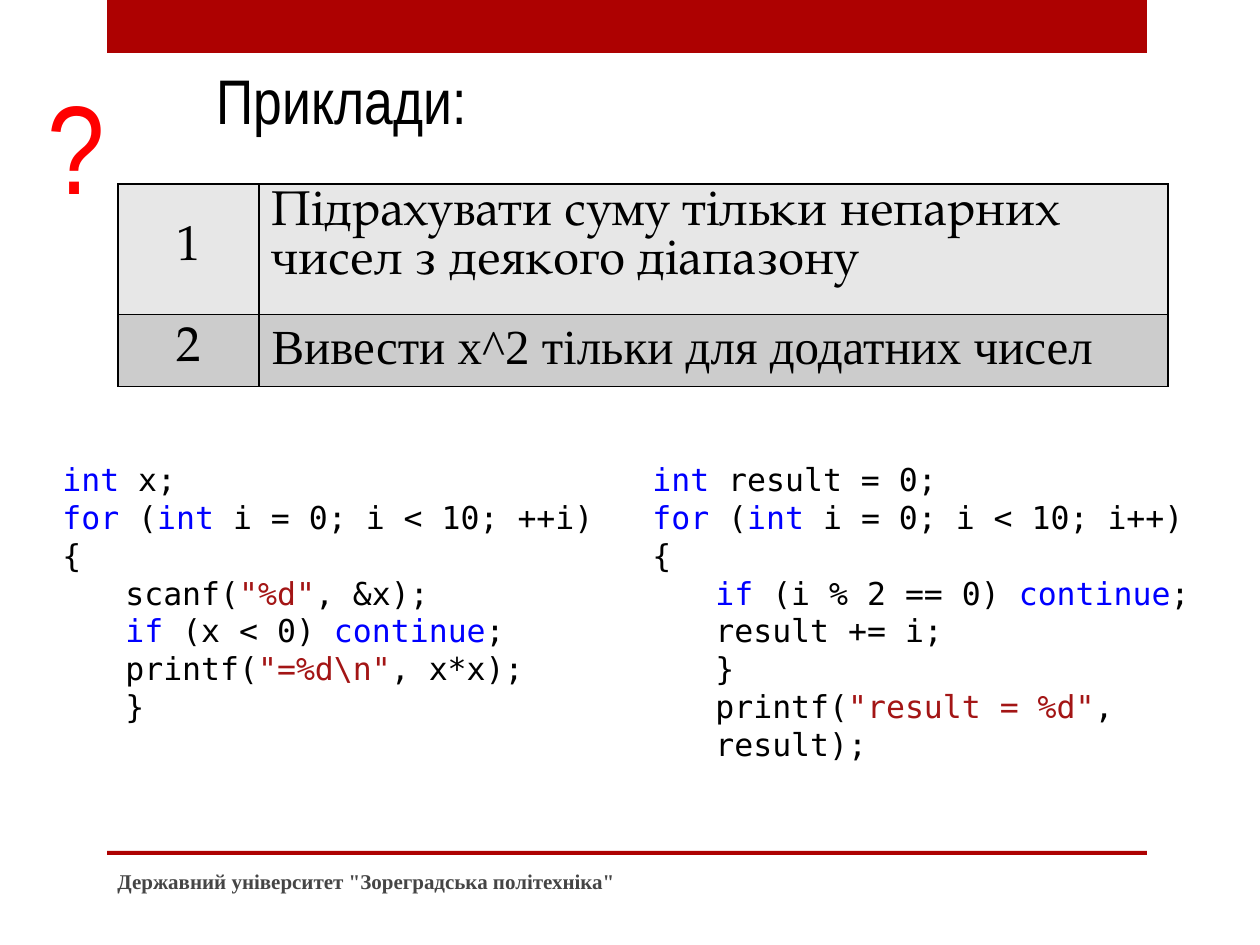
import dataclasses

import lxml.etree
import pptx
import pptx.dml.color
import pptx.enum.shapes
import pptx.enum.text
import pptx.oxml.ns
import pptx.util

ANCHOR = pptx.enum.text.MSO_ANCHOR
ALIGN = pptx.enum.text.PP_ALIGN
FIT = pptx.enum.text.MSO_AUTO_SIZE
QN = pptx.oxml.ns.qn


@dataclasses.dataclass(frozen=True)
class Theme:
    red: str = "AD0101"
    mark: str = "FF0000"
    text: str = "000000"
    foot: str = "454545"
    key: str = "0000FF"
    quote: str = "A31515"
    bands: tuple = ("E7E7E7", "CCCCCC")
    head: str = "Arial Narrow"
    book: str = "TeX Gyre Pagella"
    serif: str = "Times New Roman"
    mono: str = "DejaVu Sans Mono"
    mark_size: int = 72
    head_size: int = 36
    cell_size: int = 28
    code_size: int = 18
    foot_size: int = 12


THEME = Theme()
K, T, Q = THEME.key, THEME.text, THEME.quote

TASKS = [
    ("1", "Підрахувати суму тільки непарних чисел з деякого діапазону", THEME.book),
    ("2", "Вивести x^2 тільки для додатних чисел", THEME.serif),
]


def loop(step):
    return [("for", K), (" (", T), ("int", K), (f" i = 0; i < 10; {step}){{", T)]


def skip(test):
    return [("if", K), (f" ({test}) ", T), ("continue", K), (";", T)]


# Each line of code is an outline level and its coloured runs.
SUM = [
    (0, [("int", K), (" result = 0;", T)]),
    (0, loop("i++")),
    (1, skip("i % 2 == 0")),
    (1, [("result += i;", T)]),
    (0, [("}", T)]),
    (0, [("printf(", T), ('"result = %d"', Q), (", result);", T)]),
]
SQUARE = [
    (0, [("int", K), (" x;", T)]),
    (0, loop("++i")),
    (1, [("scanf(", T), ('"%d"', Q), (", &x);", T)]),
    (1, skip("x < 0")),
    (1, [("printf(", T), ('"=%d\\n"', Q), (", x*x);", T)]),
    (0, [("}", T)]),
]


def px(num):
    return pptx.util.Emu(round(num * 914400 / 126))


def paint(fill, tone):
    fill.solid()
    fill.fore_color.rgb = pptx.dml.color.RGBColor.from_string(tone)


def add_run(para, text, font, size, tone, bold=False):
    run = para.add_run()
    run.text = text
    run.font.name = font
    run.font.size = pptx.util.Pt(size)
    run.font.bold = bold
    run.font.color.rgb = pptx.dml.color.RGBColor.from_string(tone)


def add_text(slide, box, wrap=True, fit=FIT.SHAPE_TO_FIT_TEXT):
    frame = slide.shapes.add_textbox(*map(px, box)).text_frame
    frame.word_wrap = wrap
    frame.auto_size = fit
    return frame


def add_bar(slide, box):
    bar = slide.shapes.add_shape(
        pptx.enum.shapes.MSO_SHAPE.RECTANGLE, *map(px, box))
    bar.shadow.inherit = False
    paint(bar.fill, THEME.red)
    bar.line.fill.background()


def add_title(slide, box):
    title = slide.shapes.title
    title.left, title.top, title.width, title.height = map(px, box)
    frame = title.text_frame
    frame.vertical_anchor = ANCHOR.TOP
    frame.auto_size = FIT.SHAPE_TO_FIT_TEXT
    para = frame.paragraphs[0]
    para.alignment = ALIGN.LEFT
    add_run(para, "Приклади:", THEME.head, THEME.head_size, THEME.text)


def add_mark(slide, box):
    frame = add_text(slide, box, wrap=False)
    add_run(frame.paragraphs[0], "?", THEME.head, THEME.mark_size, THEME.mark)


def add_foot(slide, box):
    frame = add_text(slide, box, fit=FIT.NONE)
    frame.vertical_anchor = ANCHOR.MIDDLE
    add_run(frame.paragraphs[0], 'Державний університет "Зореградська політехніка"',
            THEME.serif, THEME.foot_size, THEME.foot, bold=True)


def add_edges(cell):
    """Draw the four borders, which must come before the cell's fill."""
    props = cell._tc.get_or_add_tcPr()
    for spot, side in enumerate(("a:lnL", "a:lnR", "a:lnT", "a:lnB")):
        line = lxml.etree.Element(QN(side), w=str(pptx.util.Pt(1)))
        fill = lxml.etree.SubElement(line, QN("a:solidFill"))
        lxml.etree.SubElement(fill, QN("a:srgbClr"), val=THEME.text)
        props.insert(spot, line)


def fill_cell(cell, text, font, band):
    paint(cell.fill, band)
    add_edges(cell)
    para = cell.text_frame.paragraphs[0]
    para.space_before = para.space_after = pptx.util.Pt(3)
    add_run(para, text, font, THEME.cell_size, THEME.text)
    return para


def add_tasks(slide, box, cols, rows):
    table = slide.shapes.add_table(len(rows), len(cols), *map(px, box)).table
    for col, width in zip(table.columns, cols):
        col.width = px(width)
    for spot, (num, text, font) in enumerate(TASKS):
        table.rows[spot].height = px(rows[spot])
        band = THEME.bands[spot]
        cell = table.cell(spot, 0)
        cell.vertical_anchor = ANCHOR.MIDDLE
        fill_cell(cell, num, THEME.book, band).alignment = ALIGN.CENTER
        fill_cell(table.cell(spot, 1), text, font, band)


def add_code(slide, box, lines):
    """Write the code; everything after the loop's head is indented."""
    frame = add_text(slide, box)
    for spot, (level, runs) in enumerate(lines):
        para = frame.add_paragraph() if spot else frame.paragraphs[0]
        para.level = level
        if spot > 1:
            props = para._p.get_or_add_pPr()
            props.set("marL", str(px(63)))
            props.set("indent", "0")
        for text, tone in runs:
            add_run(para, text, THEME.mono, THEME.code_size, tone)


def main():
    deck = pptx.Presentation()
    deck.slide_width, deck.slide_height = px(1260), px(945)
    slide = deck.slides.add_slide(deck.slide_layouts[5])
    add_bar(slide, (107, 0, 1040, 53))
    add_bar(slide, (107, 851, 1040, 4))
    add_foot(slide, (105, 856, 672, 50))
    add_title(slide, (204, 55, 955, 90))
    add_mark(slide, (35, 62, 83, 165))
    add_tasks(slide, (118, 184, 1050, 202), (141, 909), (130, 72))
    for left, lines in ((640, SUM), (50, SQUARE)):
        add_code(slide, (left, 454, 570, 242), lines)
    deck.save("out.pptx")


if __name__ == "__main__":
    main()
